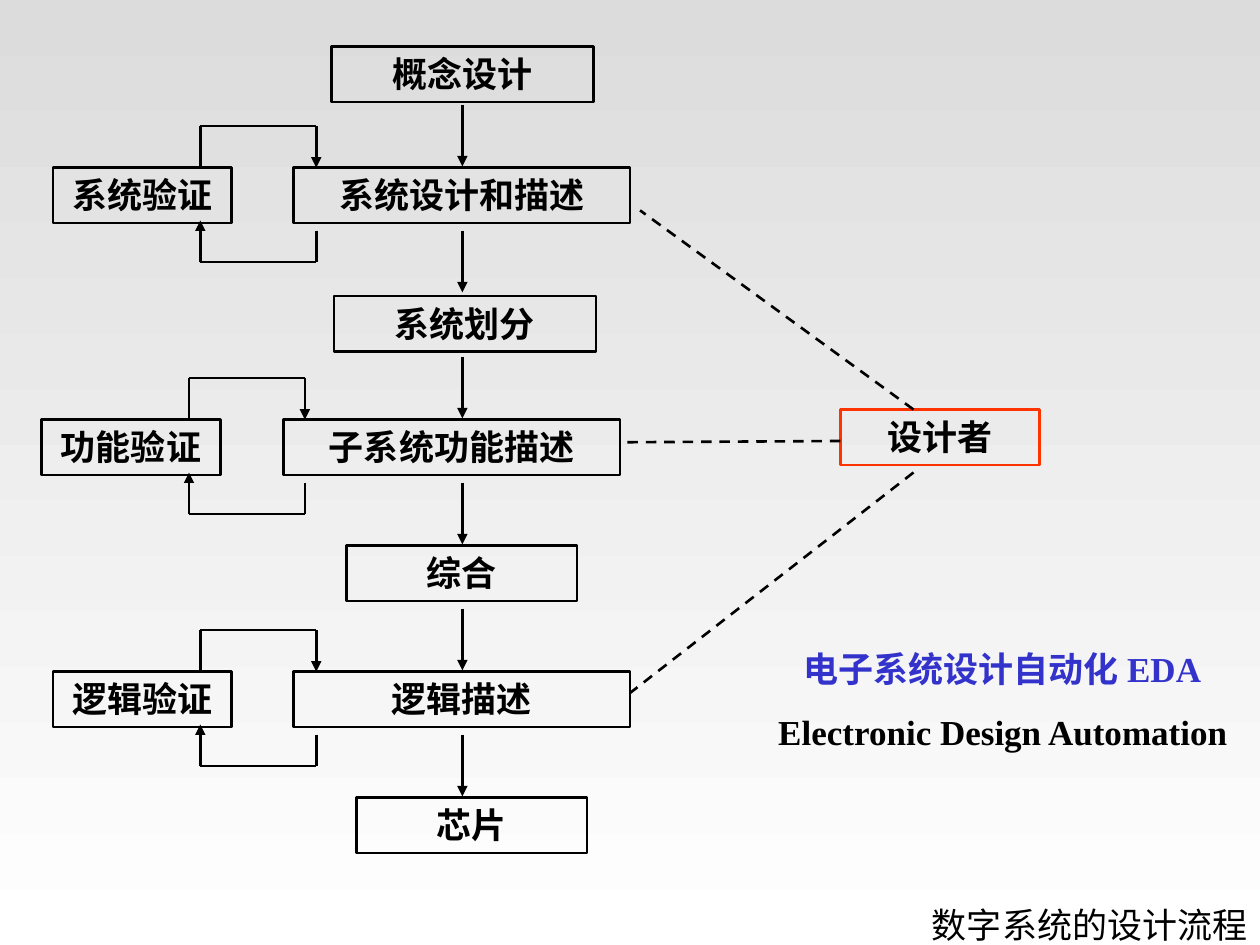
from dataclasses import dataclass

from lxml import etree
from pptx import Presentation
from pptx.dml.color import RGBColor
from pptx.enum.dml import MSO_LINE
from pptx.enum.shapes import MSO_CONNECTOR, MSO_SHAPE
from pptx.enum.text import MSO_ANCHOR, MSO_AUTO_SIZE, PP_ALIGN
from pptx.oxml.ns import qn
from pptx.util import Inches, Pt

RECTANGLE = MSO_SHAPE.RECTANGLE
STRAIGHT = MSO_CONNECTOR.STRAIGHT
DASH = MSO_LINE.DASH
TOP, MIDDLE = MSO_ANCHOR.TOP, MSO_ANCHOR.MIDDLE
CENTER, RIGHT = PP_ALIGN.CENTER, PP_ALIGN.RIGHT
GROW, FIXED = MSO_AUTO_SIZE.SHAPE_TO_FIT_TEXT, MSO_AUTO_SIZE.NONE

BLACK = RGBColor(0x00, 0x00, 0x00)
RED = RGBColor(0xFF, 0x33, 0x00)
BLUE = RGBColor(0x33, 0x33, 0xCC)
GRAY = RGBColor(0xDC, 0xDC, 0xDC)
WHITE = RGBColor(0xFF, 0xFF, 0xFF)

BOX_HEIGHT = 0.44
LINE_WIDTH = Pt(1.5)
FLOW_X = 3.67


@dataclass(frozen=True)
class Block:
    text: str
    left: float
    top: float
    width: float
    color: RGBColor = BLACK


@dataclass(frozen=True)
class Check:
    text: str
    left: float
    top: float


STEPS = (
    Block("概念设计", 2.63, 0.37, 2.08),
    Block("系统设计和描述", 2.33, 1.33, 2.67),
    Block("系统划分", 2.65, 2.35, 2.08),
    Block("子系统功能描述", 2.25, 3.33, 2.67),
    Block("综合", 2.75, 4.33, 1.83),
    Block("逻辑描述", 2.33, 5.33, 2.67),
    Block("芯片", 2.83, 6.33, 1.83),
)
CHECKS = (
    Check("系统验证", 0.42, 1.33),
    Check("功能验证", 0.33, 3.33),
    Check("逻辑验证", 0.42, 5.33),
)
DESIGNER = Block("设计者", 6.67, 3.25, 1.58, RED)
DESIGNER_LINKS = (
    ((7.25, 3.25), (5.08, 1.67)),
    ((7.25, 3.75), (5, 5.5)),
    ((6.67, 3.5), (4.95, 3.51)),
)
CAPTIONS = (
    Block("电子系统设计自动化 EDA", 6.08, 5.09, 3.75, BLUE),
    Block("Electronic Design Automation", 5.96, 5.59, 4),
)


def write_text(shape, text: str, color: RGBColor = BLACK, bold: bool = True,
               align=CENTER, anchor=TOP, auto_size=GROW) -> None:
    """Write one formatted paragraph into a shape."""
    frame = shape.text_frame
    layout = {"word_wrap": True, "auto_size": auto_size, "vertical_anchor": anchor}
    for name, value in layout.items():
        setattr(frame, name, value)
    para = frame.paragraphs[0]
    para.alignment = align
    span = para.add_run()
    span.text = text
    for name, value in {"name": "Times New Roman", "size": Pt(20), "bold": bold}.items():
        setattr(span.font, name, value)
    span.font.color.rgb = color


def draw_box(page, block: Block) -> None:
    """Draw an outlined box with its label."""
    box = page.shapes.add_shape(RECTANGLE, Inches(block.left), Inches(block.top),
                                Inches(block.width), Inches(BOX_HEIGHT))
    box.shadow.inherit = False
    box.fill.background()
    box.line.color.rgb = block.color
    box.line.width = LINE_WIDTH
    write_text(box, block.text)


def draw_line(page, start: tuple[float, float], end: tuple[float, float],
              arrow: bool = False, dashed: bool = False) -> None:
    """Draw a straight line, with an arrowhead or dashes if asked."""
    connector = page.shapes.add_connector(STRAIGHT, *map(Inches, start + end))
    connector.line.color.rgb = BLACK
    connector.line.width = LINE_WIDTH
    if dashed:
        connector.line.dash_style = DASH
    if arrow:
        outline = connector.line._get_or_add_ln()
        etree.SubElement(outline, qn("a:tailEnd"), type="triangle")
    etree.SubElement(connector._element.spPr, qn("a:effectLst"))


def draw_check(page, check: Check) -> None:
    """Draw a verification box and the loop joining it to its step."""
    draw_box(page, Block(check.text, check.left, check.top, 1.42))
    near, far = check.left + 1.17, check.left + 2.09
    top, upper, lower = check.top, check.top - 0.33, check.top + 0.75
    draw_line(page, (near, top), (near, upper))
    draw_line(page, (near, upper), (far, upper))
    draw_line(page, (far, upper), (far, top), arrow=True)
    draw_line(page, (far, top + 0.5), (far, lower))
    draw_line(page, (near, lower), (far, lower))
    draw_line(page, (near, lower), (near, top + 0.42), arrow=True)


def draw_caption(page, block: Block, height: float = BOX_HEIGHT, **style) -> None:
    """Draw text without an outline."""
    box = page.shapes.add_textbox(Inches(block.left), Inches(block.top),
                                  Inches(block.width), Inches(height))
    write_text(box, block.text, block.color, **style)


def paint_background(page) -> None:
    """Fill the page with a gradient running from top to bottom."""
    fill = page.background.fill
    fill.gradient()
    fill.gradient_angle = 270
    for stop, color, position in zip(fill.gradient_stops, (GRAY, WHITE), (0, 1)):
        stop.color.rgb = color
        stop.position = position


def main() -> None:
    """Build and save the design flow slide."""
    deck = Presentation()
    deck.slide_width, deck.slide_height = Inches(10), Inches(7.5)
    page = deck.slides.add_slide(deck.slide_layouts[6])
    paint_background(page)
    draw_caption(page, Block("数字系统的设计流程", 7.08, 7.17, 2.92), 0.33,
                 bold=False, align=RIGHT, anchor=MIDDLE, auto_size=FIXED)
    for step in STEPS:
        draw_box(page, step)
    for index in range(len(STEPS) - 1):
        draw_line(page, (FLOW_X, index + 0.83), (FLOW_X, index + 1.32), arrow=True)
    for check in CHECKS:
        draw_check(page, check)
    draw_box(page, DESIGNER)
    for start, end in DESIGNER_LINKS:
        draw_line(page, start, end, dashed=True)
    for caption in CAPTIONS:
        draw_caption(page, caption)
    deck.save("out.pptx")


if __name__ == "__main__":
    main()
